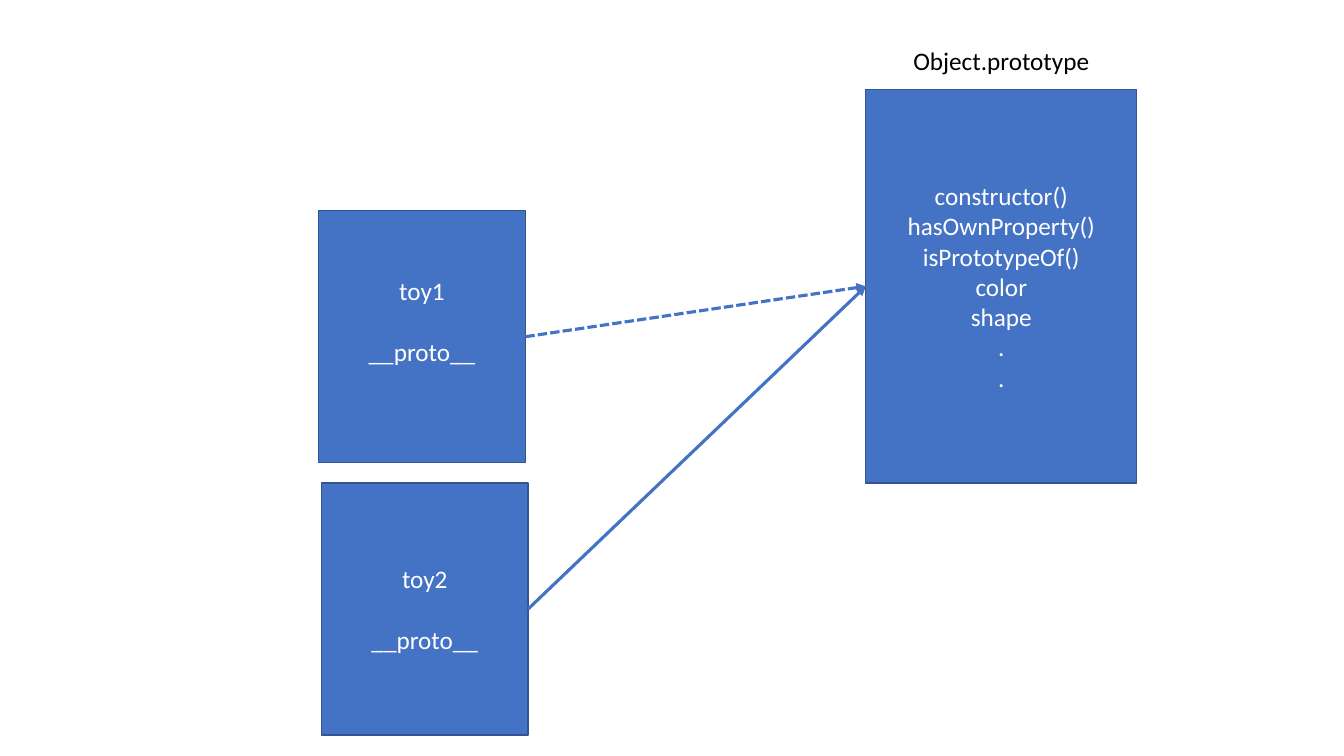
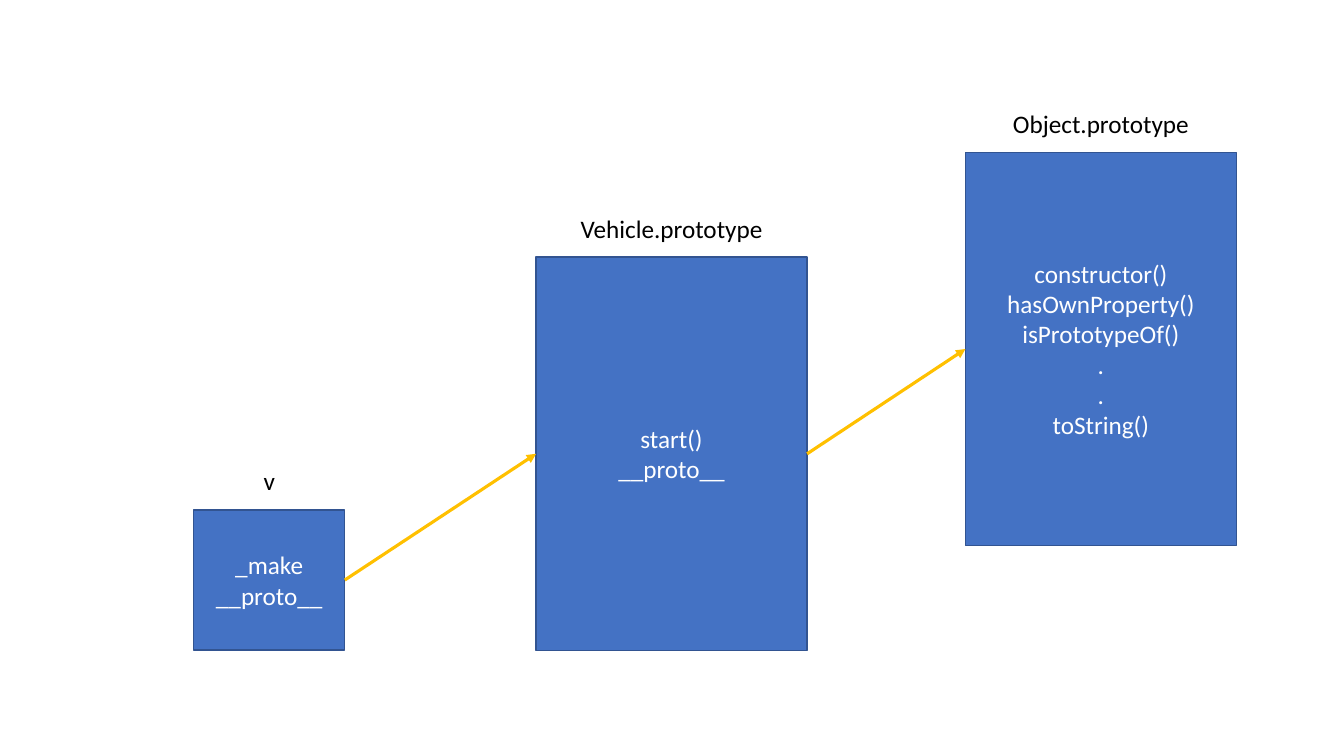
from pptx import Presentation
from pptx.dml.color import RGBColor
from pptx.enum.dml import MSO_LINE
from pptx.enum.shapes import MSO_CONNECTOR, MSO_SHAPE
from pptx.enum.text import MSO_ANCHOR, PP_ALIGN
from pptx.oxml.ns import qn
from pptx.util import Cm, Pt
from lxml import etree

RECTANGLE = MSO_SHAPE.RECTANGLE
STRAIGHT = MSO_CONNECTOR.STRAIGHT
SHORT_DASH = MSO_LINE.SQUARE_DOT
CENTER = PP_ALIGN.CENTER
MIDDLE = MSO_ANCHOR.MIDDLE
LEFT_SITE, RIGHT_SITE = 1, 3

BLUE, NAVY, AMBER = "4472C4", "325491", "FFC000"
WHITE, BLACK = "FFFFFF", "000000"
LABEL_RISE, LABEL_HEIGHT = 1.24, 1.02
TOY_SIZE = (5.21, 6.35)
PROTOTYPE_SIZE = (6.83, 9.91)
INSTANCE_SIZE = (3.81, 3.53)


def rgb(value):
    return RGBColor.from_string(value)


def write(shape, text, color):
    frame = shape.text_frame
    frame.word_wrap = True
    frame.text = text
    for para in frame.paragraphs:
        para.alignment = CENTER
        for span in para.runs:
            span.font.name = "Calibri"
            span.font.size = Pt(18)
            span.font.color.rgb = rgb(color)


pages = [
    {
        "boxes": {
            "toy1": ("", (8.03, 5.31), TOY_SIZE, "toy1\n__proto__"),
            "object": ("Object.prototype", (21.82, 2.26), PROTOTYPE_SIZE,
                       "constructor()\nhasOwnProperty()\nisPrototypeOf()\ncolor\nshape\n.\n."),
            "toy2": ("", (8.1, 12.17), TOY_SIZE, "toy2\n__proto__"),
        },
        "arrows": [("toy1", "object", BLUE, SHORT_DASH), ("toy2", "object", BLUE, None)],
    },
    {
        "boxes": {
            "object": ("Object.prototype", (24.33, 3.84), PROTOTYPE_SIZE,
                       "constructor()\nhasOwnProperty()\nisPrototypeOf()\n.\n.\ntoString()"),
            "vehicle": ("Vehicle.prototype", (13.51, 6.48), PROTOTYPE_SIZE, "start()\n__proto__"),
            "instance": ("v", (4.88, 12.85), INSTANCE_SIZE, "_make\n__proto__"),
        },
        "arrows": [("vehicle", "object", AMBER, None), ("instance", "vehicle", AMBER, None)],
    },
]

deck = Presentation()
deck.slide_width = Cm(33.87)
deck.slide_height = Cm(19.05)
blank_layout = deck.slide_layouts[6]

for content in pages:
    page = deck.slides.add_slide(blank_layout)
    boxes = {}
    for name, (label, (left, top), (width, height), text) in content["boxes"].items():
        box = page.shapes.add_shape(RECTANGLE, Cm(left), Cm(top), Cm(width), Cm(height))
        box.shadow.inherit = False
        box.fill.solid()
        box.fill.fore_color.rgb = rgb(BLUE)
        box.line.color.rgb = rgb(NAVY)
        box.line.width = Pt(1)
        box.text_frame.vertical_anchor = MIDDLE
        write(box, text, WHITE)
        boxes[name] = box
        if label:
            caption = page.shapes.add_textbox(
                Cm(left), Cm(top - LABEL_RISE), Cm(width), Cm(LABEL_HEIGHT))
            write(caption, label, BLACK)

    for toy in ("toy1", "toy2"):
        if toy in boxes:
            boxes[toy].text_frame.paragraphs[1].space_before = Pt(22)
    if "toy1" in boxes:
        boxes["toy1"].text_frame.margin_bottom = Cm(0.9)

    for source, target, color, dash in content["arrows"]:
        arrow = page.shapes.add_connector(STRAIGHT, 0, 0, 0, 0)
        arrow.begin_connect(boxes[source], RIGHT_SITE)
        arrow.end_connect(boxes[target], LEFT_SITE)
        arrow.line.color.rgb = rgb(color)
        arrow.line.width = Pt(2.25)
        if dash:
            arrow.line.dash_style = dash
        properties = arrow._element.spPr
        etree.SubElement(properties.find(qn("a:ln")), qn("a:tailEnd"), type="triangle")
        etree.SubElement(properties, qn("a:effectLst"))

deck.save("out.pptx")
